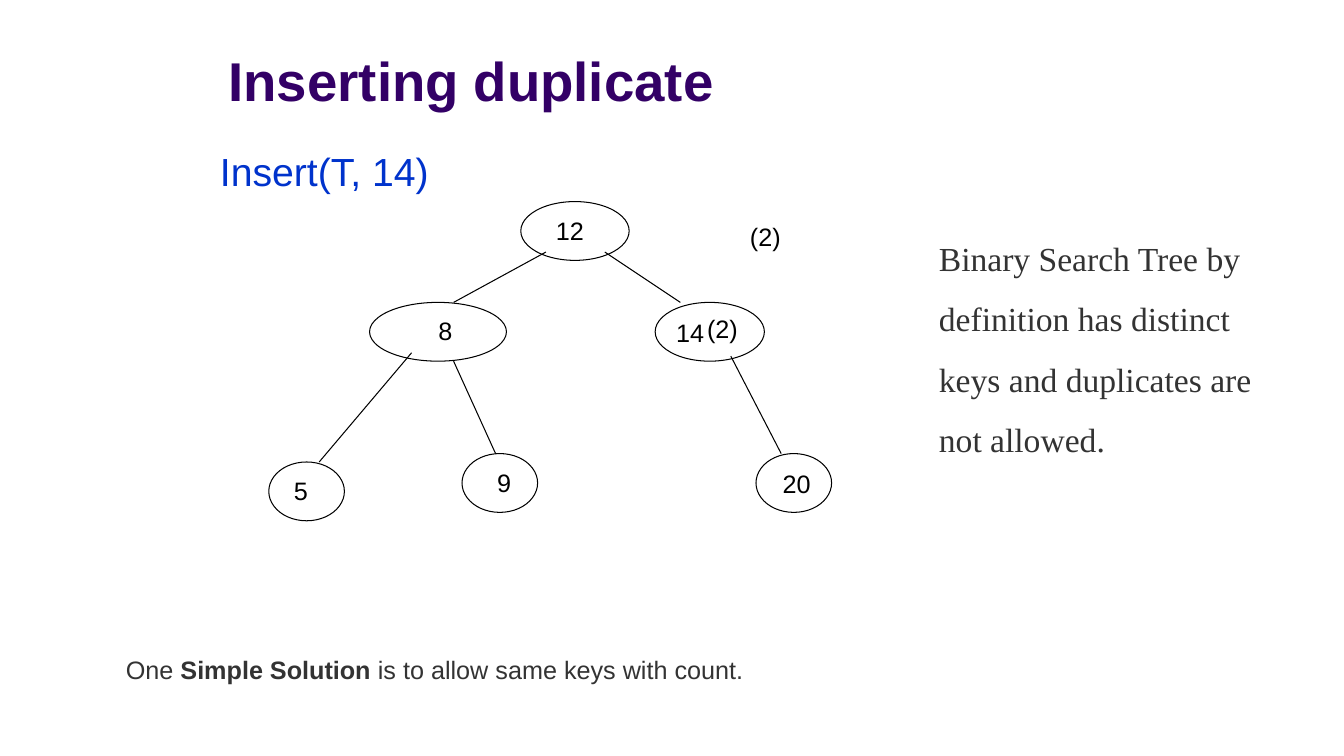
from dataclasses import dataclass

from lxml.etree import SubElement
from pptx import Presentation
from pptx.dml.color import RGBColor
from pptx.enum.shapes import MSO_CONNECTOR as Connector, MSO_SHAPE as Shape
from pptx.enum.text import MSO_ANCHOR as Anchor, MSO_AUTO_SIZE as AutoSize, PP_ALIGN as Align
from pptx.oxml.ns import qn
from pptx.slide import Slide
from pptx.text.text import TextFrame
from pptx.util import Inches, Pt

BLACK = RGBColor(0x00, 0x00, 0x00)
PURPLE = RGBColor(0x33, 0x00, 0x66)
BLUE = RGBColor(0x00, 0x33, 0xCC)
GRAY = RGBColor(0x33, 0x33, 0x33)

COLUMNS, ROWS = 160, 90
CELL = Inches(1) / 12
NODE_ROWS = 7
LINE_WIDTH = Pt(0.75)


@dataclass(frozen=True)
class Node:
    column: float
    row: float
    columns: float


@dataclass(frozen=True)
class Edge:
    start: tuple[float, float]
    end: tuple[float, float]


@dataclass(frozen=True)
class Label:
    spans: tuple[str, ...]
    column: float
    row: float
    columns: float = 8
    rows: float = 4.8
    size: float = 18
    color: RGBColor = BLACK
    font: str = "Arial"
    bold: bool = False
    line_spacing: float = 1.0


TITLE = Label(("Inserting duplicate",), 26, 0, 99, 14, 39, PURPLE, bold=True)

NODES = (
    Node(62, 24, 12.9),
    Node(44, 36, 16.3),
    Node(78, 36, 13),
    Node(32, 55, 9),
    Node(55, 54, 9),
    Node(90, 54, 9),
)

EDGES = (
    Edge((65, 30), (54, 36)),
    Edge((72, 30), (81, 36)),
    Edge((49, 42), (38, 55)),
    Edge((54, 43), (59, 54)),
    Edge((87, 42.4), (93, 54)),
)

LABELS = (
    Label(("Insert(T, 14)",), 25, 17, 38, 6.8, 28, BLUE),
    Label(("12",), 65, 25),
    Label(("8",), 51, 37),
    Label(("14",), 79.3, 37.2),
    Label(("5",), 33.8, 56),
    Label(("9",), 58, 55),
    Label(("20",), 92, 55.2),
    Label(("(2)",), 88.1, 25.8, 6.6),
    Label(("(2)",), 83, 36.7, 6.6),
    Label(("One ", "Simple Solution", " is to allow same keys with count."),
          13.8, 77.3, 141.2, color=GRAY),
    Label(("Binary Search Tree by definition has distinct keys and duplicates are not allowed.",),
          110.6, 25.3, 41, 29.4, 24, GRAY, "Times New Roman", line_spacing=1.5),
)


def grid(*cells: float) -> list[int]:
    """Turn grid cells into slide lengths."""
    return [round(cell * CELL) for cell in cells]


def write(frame: TextFrame, label: Label, anchor: Anchor = Anchor.TOP) -> None:
    """Fill a frame with a label, its second span in bold."""
    frame.word_wrap = True
    frame.auto_size = AutoSize.NONE
    frame.vertical_anchor = anchor
    para = frame.paragraphs[0]
    para.alignment = Align.LEFT
    para.line_spacing = label.line_spacing
    para.font.name = label.font
    para.font.size = Pt(label.size)
    para.font.bold = label.bold
    para.font.color.rgb = label.color
    for index, text in enumerate(label.spans):
        span = para.add_run()
        span.text = text
        if index == 1:
            span.font.bold = True


def add_title(page: Slide, label: Label) -> None:
    """Place and write the title placeholder."""
    title = page.shapes.title
    title.left, title.top, title.width, title.height = grid(
        label.column, label.row, label.columns, label.rows)
    write(title.text_frame, label, Anchor.BOTTOM)


def add_label(page: Slide, label: Label) -> None:
    """Add a text box for a label."""
    box = page.shapes.add_textbox(*grid(label.column, label.row, label.columns, label.rows))
    write(box.text_frame, label)


def add_node(page: Slide, node: Node) -> None:
    """Add the outline of a tree node."""
    oval = page.shapes.add_shape(
        Shape.OVAL, *grid(node.column, node.row, node.columns, NODE_ROWS))
    oval.shadow.inherit = False
    oval.fill.background()
    oval.line.color.rgb = BLACK
    oval.line.width = LINE_WIDTH


def add_edge(page: Slide, edge: Edge) -> None:
    """Add a line from a parent node to its child."""
    line = page.shapes.add_connector(Connector.STRAIGHT, *grid(*edge.start, *edge.end))
    line.line.color.rgb = BLACK
    line.line.width = LINE_WIDTH
    SubElement(line._element.spPr, qn("a:effectLst"))


def main() -> None:
    """Build the slide and save the deck."""
    deck = Presentation()
    deck.slide_width, deck.slide_height = grid(COLUMNS, ROWS)
    page = deck.slides.add_slide(deck.slide_layouts.get_by_name("Title Only"))
    add_title(page, TITLE)
    for node in NODES:
        add_node(page, node)
    for edge in EDGES:
        add_edge(page, edge)
    for label in LABELS:
        add_label(page, label)
    deck.save("out.pptx")


if __name__ == "__main__":
    main()
